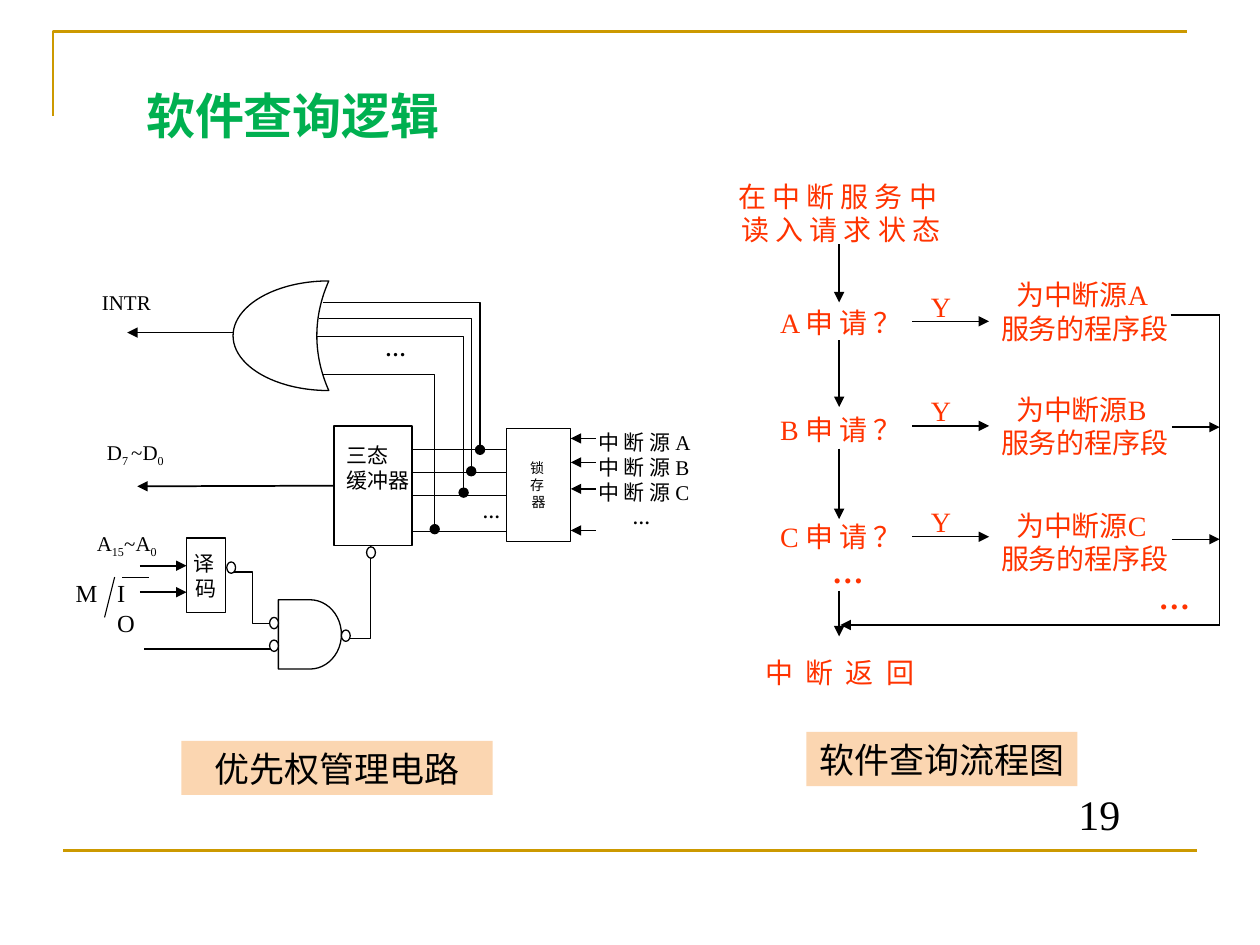
"""Build the slide on software polling logic: a priority circuit and its flow chart."""
from pptx import Presentation
from pptx.dml.color import RGBColor
from pptx.enum.shapes import MSO_CONNECTOR, MSO_SHAPE
from pptx.enum.text import MSO_ANCHOR, PP_ALIGN
from pptx.oxml.ns import qn
from pptx.oxml.xmlchemy import OxmlElement
from pptx.util import Inches, Pt

RECT, ROUND, DIAMOND = MSO_SHAPE.RECTANGLE, MSO_SHAPE.ROUNDED_RECTANGLE, MSO_SHAPE.DIAMOND
MOON, DELAY, OVAL = MSO_SHAPE.MOON, MSO_SHAPE.FLOWCHART_DELAY, MSO_SHAPE.OVAL
STRAIGHT, ELBOW = MSO_CONNECTOR.STRAIGHT, MSO_CONNECTOR.ELBOW
LEFT, CENTER, RIGHT = PP_ALIGN.LEFT, PP_ALIGN.CENTER, PP_ALIGN.RIGHT
TOP, MIDDLE, BOTTOM = MSO_ANCHOR.TOP, MSO_ANCHOR.MIDDLE, MSO_ANCHOR.BOTTOM

THEME = {
    "black": RGBColor(0, 0, 0), "white": RGBColor(255, 255, 255),
    "gold": RGBColor(0xCC, 0x99, 0), "green": RGBColor(0, 0xB0, 0x50),
    "peach": RGBColor(0xFB, 0xD6, 0xB1), "red": RGBColor(0xFF, 0x33, 0),
    "serif": "Times New Roman", "sans": "Arial",
    "title": 28, "number": 24, "caption": 20, "dots": 18, "flow": 16,
    "signal": 14, "label": 12, "small": 10, "tiny": 8,
}

prs = Presentation()
prs.slide_width, prs.slide_height = Inches(10), Inches(7.5)
s = prs.slides.add_slide(prs.slide_layouts[6])


def add_box(at, lines=(), size="label", color="black", kind=None, fill=None, line=None,
            align=LEFT, anchor=TOP, wrap=False, inset=(0.1, 0.05), font="serif",
            bold=False, spacing=None):
    at = [Inches(v) for v in at]
    if kind is None:
        sp = s.shapes.add_textbox(*at)
    else:
        sp = s.shapes.add_shape(kind, *at)
        sp.shadow.inherit = False
        for part, name in ((sp.fill, fill), (sp.line.fill, line)):
            if name:
                part.solid()
                part.fore_color.rgb = THEME[name]
            else:
                part.background()
        if line:
            sp.line.width = Pt(0.75)
    tf = sp.text_frame
    x, y = (Inches(v) for v in inset)
    frame = {"word_wrap": wrap, "vertical_anchor": anchor, "margin_left": x,
             "margin_right": x, "margin_top": y, "margin_bottom": y}
    for key, value in frame.items():
        setattr(tf, key, value)
    for i, text in enumerate(lines):
        p = tf.add_paragraph() if i else tf.paragraphs[0]
        p.alignment = align
        if spacing:
            p.line_spacing = spacing
        for j, piece in enumerate(text.split("|")):
            r = p.add_run()
            r.text = piece
            for key, value in {"name": THEME[font], "size": Pt(THEME[size]), "bold": bold}.items():
                setattr(r.font, key, value)
            r.font.color.rgb = THEME[color]
            if j % 2:
                r.font._element.set("baseline", "-25000")
    return sp


def add_line(*points, tail=None, width=0.75, color="black", kind=STRAIGHT):
    points = [(Inches(x), Inches(y)) for x, y in points]
    if len(points) == 2:
        sp = s.shapes.add_connector(kind, *points[0], *points[1])
        sp.element.spPr.append(OxmlElement("a:effectLst"))
    else:
        builder = s.shapes.build_freeform(*points[0])
        builder.add_line_segments(points[1:], close=False)
        sp = builder.convert_to_shape()
        sp.shadow.inherit = False
        sp.fill.background()
    sp.line.color.rgb = THEME[color]
    sp.line.width = Pt(width)
    if tail:
        end = OxmlElement("a:tailEnd")
        end.set("type", tail)
        sp.element.spPr.find(qn("a:ln")).append(end)
    return sp


add_line((0.42, 0.92), (0.42, 0.25), (9.42, 0.25), width=1.5, color="gold")
add_line((0.5, 6.75), (9.5, 6.75), width=1.5, color="gold")
add_box((8.23, 6.35, 0.76, 0.36), ["19"], "number", align=RIGHT, anchor=BOTTOM, wrap=True)
add_box((1.16, 0.68, 3.69, 0.47), ["软件查询逻辑"], "title", "green", inset=(0, 0),
        wrap=True, font="sans", bold=True)
for at, caption in (((6.4, 5.81, 2.15, 0.43), "软件查询流程图"),
                    ((1.44, 5.88, 2.47, 0.43), "优先权管理电路")):
    add_box(at, [caption], "caption", kind=RECT, fill="peach", align=CENTER)

or_gate = add_box((1.85, 2.23, 0.76, 0.87), kind=MOON, line="black")
or_gate.adjustments[0] = 0.875
for left, top, right, bottom in ((2.56, 2.97, 3.45, 4.2), (2.51, 2.67, 3.68, 3.91),
                                 (2.53, 2.53, 3.74, 3.74), (2.56, 2.4, 3.81, 3.57)):
    add_line((left, top), (right, top), (right, bottom), tail="oval")
add_line((1.85, 2.64), (1.01, 2.64), tail="triangle")

buffer = add_box((2.65, 3.38, 0.62, 0.95), ["三态", "缓冲器"], kind=RECT, line="black",
                 inset=(0.1, 0.13))
data_bus = add_line((2.65, 3.86), (1.09, 3.86), tail="triangle", width=1)
data_bus.begin_connect(buffer, 1)
add_box((2.21, 4.76, 0.5, 0.55), kind=DELAY, line="black")
add_line((2.2, 4.95), (1.81, 4.54), kind=ELBOW)
add_box((1.48, 4.27, 0.31, 0.59), ["译 ", "码"], kind=RECT, line="black",
        align=CENTER, anchor=MIDDLE)
add_line((2.21, 5.15), (1.14, 5.15))
add_box((4.02, 3.4, 0.51, 0.9), ["锁 ", "存 ", "器"], "tiny", kind=RECT, line="black",
        align=CENTER, anchor=MIDDLE)
add_line((2.72, 5.07), (2.94, 5.07), (2.94, 4.33))
for x, y in ((2.14, 5.08), (2.14, 4.9), (1.8, 4.46), (2.91, 4.34), (2.71, 5)):
    add_box((x, y, 0.07, 0.09), kind=OVAL, fill="white", line="black")

for y in (3.57, 3.75, 3.93, 4.22):
    add_line((3.27, y), (4.02, y))
for y in (3.48, 3.67, 3.88, 4.21):
    add_line((4.73, y), (4.53, y), tail="triangle", width=1)
for y in (4.49, 4.7):
    add_line((1.11, y), (1.48, y), tail="triangle", width=1)
for at, signal in (((0.71, 2.25, 0.71, 0.3), "INTR"), ((0.75, 3.44, 1.22, 0.3), "D|7 |~D|0"),
                   ((0.67, 4.16, 0.94, 0.3), "A|15|~A|0")):
    add_box(at, [signal], wrap=True)
add_box((4.65, 3.36, 1.16, 0.71), [f"中 断 源 {name}" for name in "ABC"], wrap=True)
add_line((0.97, 4.58), (1.18, 4.58), width=0.63)
add_line((0.91, 4.58), (0.83, 4.9), width=0.63)
for at, signal in (((0.93, 4.59, 0.2, 0.23), "IO"), ((0.6, 4.59, 0.17, 0.23), "M")):
    add_box(at, [signal], "signal", inset=(0, 0), wrap=True)

for x, y, text in ((5.75, 1.36, ["在 中 断 服 务 中 ", "读 入 请 求 状 态"]),
                   (5.74, 5.1, ["中  断  返  回"])):
    add_box((x, y, 1.85, 0.66 if len(text) > 1 else 0.47), text, "flow", "red", kind=ROUND,
            align=CENTER, anchor=MIDDLE)
for name, top, service, label, arrow, spacing in (("A", 2.26, 2.15, 2.22, 2.55, None),
                                                  ("B", 3.11, 3.06, 3.05, 3.38, None),
                                                  ("C", 4, 3.98, 3.93, 4.26, 0.6)):
    add_box((5.6, top, 2.15, 0.59), [f"{name} 申 请 ？"], "flow", "red", kind=DIAMOND,
            align=CENTER, anchor=MIDDLE, spacing=spacing)
    add_box((7.68, service, 1.86, 0.64), [f"为中断源{name} ", "服务的程序段"], "flow", "red",
            align=CENTER, anchor=MIDDLE)
    add_box((7.29, label, 0.36, 0.39), ["Y"], "flow", "red", spacing=1.1)
    add_line((7.24, arrow), (7.85, arrow), tail="triangle")
for top, bottom in ((1.94, 2.4), (2.7, 3.23), (3.56, 4.12), (4.69, 5.05)):
    add_line((6.66, top), (6.66, bottom), tail="triangle")
add_line((9.29, 2.5), (9.68, 2.5))
add_line((9.68, 2.5), (9.68, 4.97))
add_line((9.68, 4.96), (6.67, 4.96), tail="triangle")
for y in (3.39, 4.28):
    add_line((9.3, y), (9.68, y), tail="triangle")

for x, y, size, color in ((3.14, 2.76, "label", "black"), (3.9, 4.06, "small", "black"),
                          (5.09, 4.11, "small", "black"), (6.73, 4.53, "dots", "red"),
                          (9.32, 4.74, "dots", "red")):
    add_box((x - 0.2, y - 0.2, 0.4, 0.4), ["…"], size, color, align=CENTER, anchor=MIDDLE,
            inset=(0, 0), bold=True)

prs.save("out.pptx")
